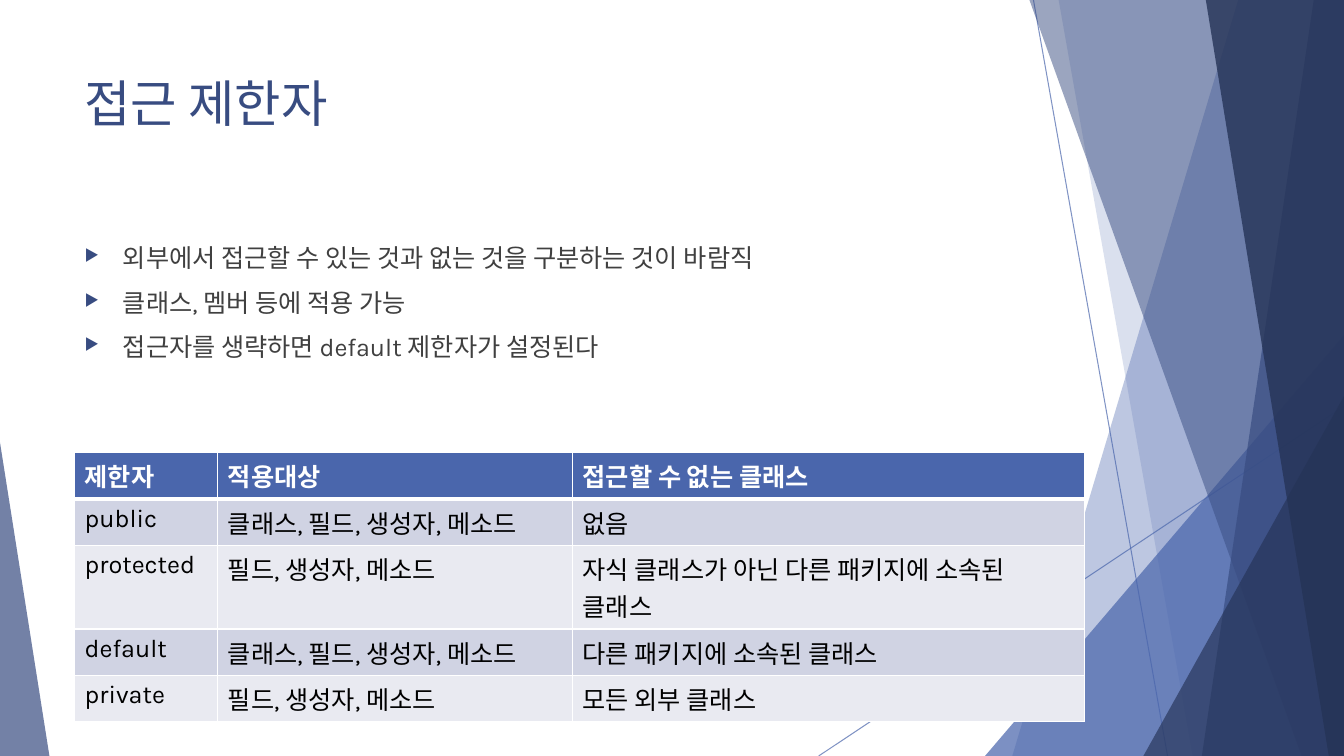
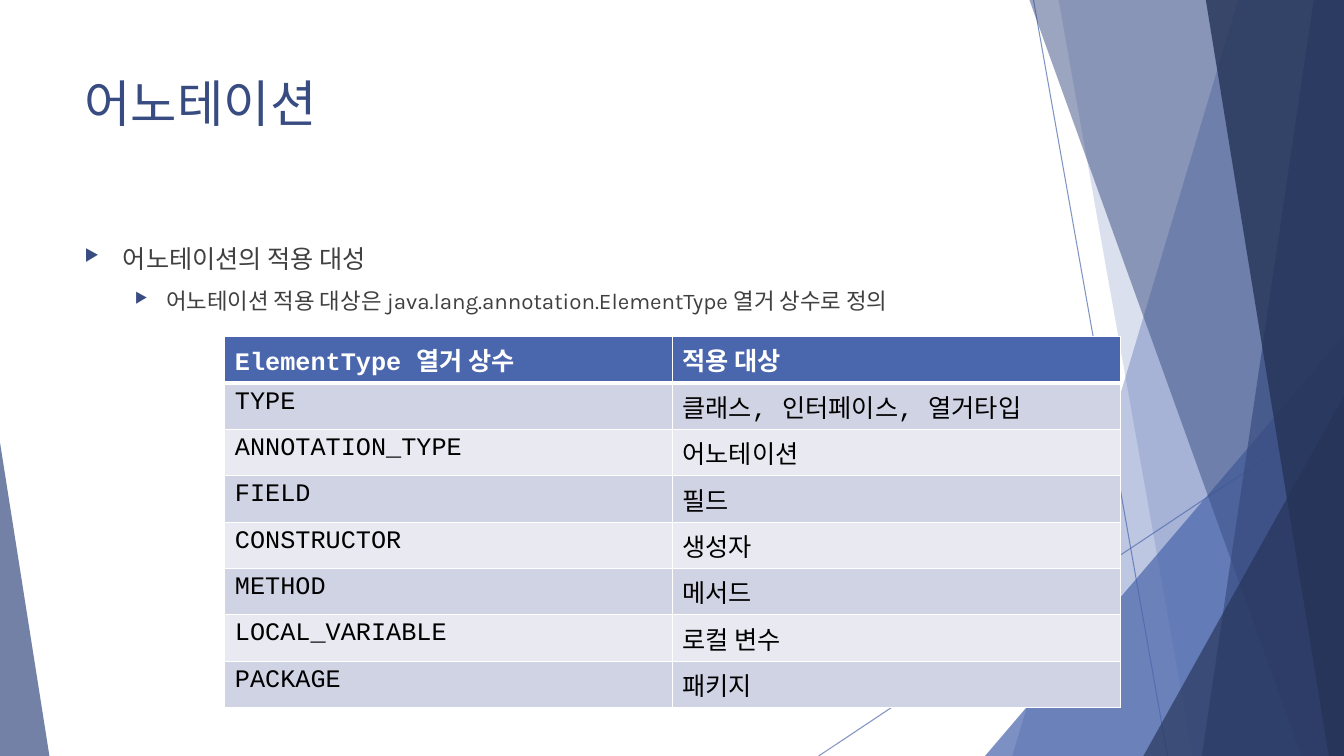
"""Build two Java lesson slides with faceted side art, bullets and a table."""
import dataclasses

import lxml.etree
import pptx
import pptx.dml.color
import pptx.enum.shapes
import pptx.oxml.ns
import pptx.slide
import pptx.table
import pptx.text.text
import pptx.util

Inches = pptx.util.Inches
Pt = pptx.util.Pt
RGBColor = pptx.dml.color.RGBColor
qn = pptx.oxml.ns.qn

BLUE = RGBColor(0x4A, 0x66, 0xAC)
NAVY = RGBColor(0x38, 0x4C, 0x81)
DARK = RGBColor(0x25, 0x33, 0x56)
GRAY = RGBColor(0x40, 0x40, 0x40)
WHITE = RGBColor(0xFF, 0xFF, 0xFF)
BLACK = RGBColor(0, 0, 0)
BANDS = (RGBColor(0xD0, 0xD3, 0xE3), RGBColor(0xE9, 0xEA, 0xF1))
SANS = "Karla"
MONO = "Courier New"
WIDE, HIGH = 13.33, 7.5
LEFT, SPAN = 0.74, 9.4
ROW, TALL = 0.46, 0.83


@dataclasses.dataclass(frozen=True)
class Facet:
    points: tuple[tuple[float, float], ...]
    color: RGBColor
    alpha: int


@dataclasses.dataclass(frozen=True)
class Wedge:
    left: float
    top: float
    width: float
    apex: float
    color: RGBColor
    alpha: int


@dataclasses.dataclass(frozen=True)
class Level:
    margin: float
    hang: float
    size: int


@dataclasses.dataclass(frozen=True)
class Bullet:
    text: str
    level: int = 0


@dataclasses.dataclass(frozen=True)
class Grid:
    left: float
    top: float
    widths: tuple[float, ...]
    font: str
    rows: tuple[tuple[str, ...], ...]
    tall: tuple[int, ...] = ()


@dataclasses.dataclass(frozen=True)
class Page:
    title: str
    height: float
    bullets: tuple[Bullet, ...]
    grid: Grid


def shard(top: float, foot: float, color: RGBColor, alpha: int) -> Facet:
    return Facet(((top, 0), (WIDE, 0), (WIDE, HIGH), (foot, HIGH)), color, alpha)


LEVELS = (Level(0.38, 0.38, 18), Level(0.81, 0.31, 16))
RAYS = (((10.25, 0), (11.58, HIGH)), ((WIDE, 4.03), (8.12, HIGH)))
ART = (
    shard(12.28, 10.04, BLUE, 36),
    shard(10.5, 11.83, BLUE, 20),
    Wedge(9.77, 3.33, 3.56, 1, BLUE, 72),
    shard(10.21, 12.91, NAVY, 50),
    shard(13.03, 11.92, NAVY, 70),
    shard(11.96, 13.18, DARK, 80),
    Wedge(11.34, 3.93, 1.99, 1, DARK, 66),
    Wedge(0, 4.39, 0.49, 0, NAVY, 70),
)

PAGES = (
    Page(
        "접근 제한자",
        4.24,
        (
            Bullet("외부에서 접근할 수 있는 것과 없는 것을 구분하는 것이 바람직"),
            Bullet("클래스, 멤버 등에 적용 가능"),
            Bullet("접근자를 생략하면 default 제한자가 설정된다"),
        ),
        Grid(LEFT, 4.49, (1.42, 3.52, 5.08), SANS, (
            ("제한자", "적용대상", "접근할 수 없는 클래스"),
            ("public", "클래스, 필드, 생성자, 메소드", "없음"),
            ("protected", "필드, 생성자, 메소드", "자식 클래스가 아닌 다른 패키지에 소속된 클래스"),
            ("default", "클래스, 필드, 생성자, 메소드", "다른 패키지에 소속된 클래스"),
            ("private", "필드, 생성자, 메소드", "모든 외부 클래스"),
        ), tall=(2,)),
    ),
    Page(
        "어노테이션",
        4.79,
        (
            Bullet("어노테이션의 적용 대성"),
            Bullet("어노테이션 적용 대상은 java.lang.annotation.ElementType 열거 상수로 정의", 1),
        ),
        Grid(2.23, 3.34, (4.44, 4.44), MONO, (
            ("ElementType 열거 상수", "적용 대상"),
            ("TYPE", "클래스, 인터페이스, 열거타입"),
            ("ANNOTATION_TYPE", "어노테이션"),
            ("FIELD", "필드"),
            ("CONSTRUCTOR", "생성자"),
            ("METHOD", "메서드"),
            ("LOCAL_VARIABLE", "로컬 변수"),
            ("PACKAGE", "패키지"),
        )),
    ),
)


def node(parent, tag: str, **attrs: str):
    return lxml.etree.SubElement(parent, qn(tag), attrs)


def fade(owner, alpha: int) -> None:
    for color in owner.iter(qn("a:srgbClr")):
        node(color, "a:alpha", val=str(alpha * 1000))


def write(para: pptx.text.text._Paragraph, text: str, size: int, color: RGBColor,
          face: str = SANS, bold: bool = False) -> None:
    run = para.add_run()
    run.text = text
    run.font.name = face
    run.font.size = Pt(size)
    run.font.bold = bold
    run.font.color.rgb = color


def draw_art(slide: pptx.slide.Slide) -> None:
    for start, end in RAYS:
        line = slide.shapes.add_connector(
            pptx.enum.shapes.MSO_CONNECTOR.STRAIGHT, *map(Inches, start + end))
        line.line.color.rgb = BLUE
        line.line.width = Pt(0.75)
        fade(line._element.spPr, 70)
        node(line._element.spPr, "a:effectLst")
    for part in ART:
        if isinstance(part, Wedge):
            shape = slide.shapes.add_shape(
                pptx.enum.shapes.MSO_SHAPE.ISOSCELES_TRIANGLE, Inches(part.left),
                Inches(part.top), Inches(part.width), Inches(HIGH - part.top))
            shape.adjustments[0] = part.apex
        else:
            first, *rest = [(Inches(x), Inches(y)) for x, y in part.points]
            pen = slide.shapes.build_freeform(*first)
            pen.add_line_segments(rest)
            shape = pen.convert_to_shape()
        shape.shadow.inherit = False
        shape.line.fill.background()
        shape.fill.solid()
        shape.fill.fore_color.rgb = part.color
        fade(shape._element.spPr, part.alpha)


def add_box(slide: pptx.slide.Slide, top: float, height: float) -> pptx.text.text.TextFrame:
    box = slide.shapes.add_textbox(Inches(LEFT), Inches(top), Inches(SPAN), Inches(height))
    box.text_frame.word_wrap = True
    return box.text_frame


def add_list(frame: pptx.text.text.TextFrame, bullets: tuple[Bullet, ...]) -> None:
    for index, bullet in enumerate(bullets):
        para = frame.add_paragraph() if index else frame.paragraphs[0]
        level = LEVELS[bullet.level]
        para.level = bullet.level
        if index:
            para.space_before = Pt(10)
        props = para._p.get_or_add_pPr()
        props.set("marL", str(Inches(level.margin)))
        props.set("indent", str(-Inches(level.hang)))
        node(node(props, "a:buClr"), "a:srgbClr", val=str(NAVY))
        node(props, "a:buSzPct", val="65000")
        node(props, "a:buChar", char="▶")
        write(para, bullet.text, level.size, GRAY)


def edge(cell: pptx.table._Cell, row: int) -> None:
    props = cell._tc.get_or_add_tcPr()
    for side in "LRTB":
        thick = (row, side) in ((0, "B"), (1, "T"))
        line = node(props, f"a:ln{side}", w=str(Pt(3 if thick else 1)))
        node(node(line, "a:solidFill"), "a:srgbClr", val=str(WHITE))


def add_grid(slide: pptx.slide.Slide, grid: Grid) -> None:
    heights = [TALL if row in grid.tall else ROW for row in range(len(grid.rows))]
    table = slide.shapes.add_table(
        len(heights), len(grid.widths), Inches(grid.left), Inches(grid.top),
        Inches(sum(grid.widths)), Inches(sum(heights))).table
    table.horz_banding = False
    for column, width in zip(table.columns, grid.widths):
        column.width = Inches(width)
    for row, texts in enumerate(grid.rows):
        table.rows[row].height = Inches(heights[row])
        head = row == 0
        for col, text in enumerate(texts):
            cell = table.cell(row, col)
            edge(cell, row)
            cell.fill.solid()
            cell.fill.fore_color.rgb = BLUE if head else BANDS[(row - 1) % 2]
            write(cell.text_frame.paragraphs[0], text, 18,
                  WHITE if head else BLACK, grid.font, head)


def main() -> None:
    deck = pptx.Presentation()
    deck.slide_width, deck.slide_height = Inches(WIDE), Inches(HIGH)
    for page in PAGES:
        slide = deck.slides.add_slide(deck.slide_layouts[6])
        draw_art(slide)
        write(add_box(slide, 0.67, 1.44).paragraphs[0], page.title, 36, NAVY)
        add_list(add_box(slide, 2.36, page.height), page.bullets)
        add_grid(slide, page.grid)
    deck.save("out.pptx")


if __name__ == "__main__":
    main()
